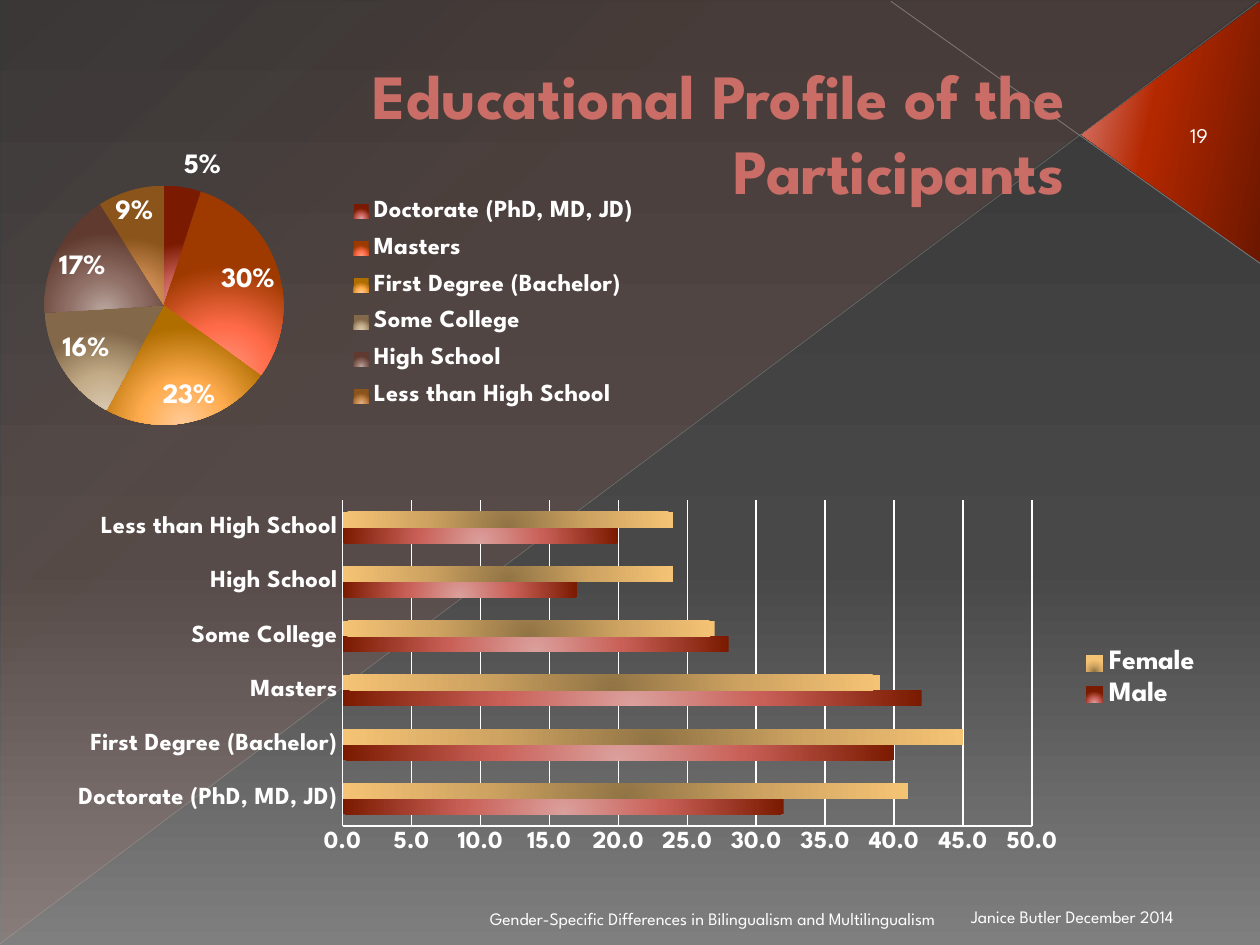
"""Build the slide on the educational profile of the participants."""
import pptx
import pptx.chart.data
import pptx.dml.color
import pptx.enum.chart
import pptx.enum.shapes
import pptx.enum.text
import pptx.oxml
import pptx.oxml.ns
import pptx.util
from pptx.util import Inches

THEME = {
    "font": "League Spartan",
    "white": "FFFFFF", "title": "C96D66", "title_outline": "72210A",
    "title_size": 36, "number_size": 12, "footer_size": 10,
    "label_size": 14, "value_size": 16,
    "background": [(0, "373737", 100), (60, "484848", 100), (100, "7F7F7F", 100)],
    "veil": [(0, "EE6D49", 10), (70, "EE6D49", 8), (100, "EE6D49", 1)],
    "arrow": [(0, "6B1700", 100), (60, "B42800", 100), (100, "DD8680", 100)],
    "female": [(0, "917445", 100), (50, "CFA462", 100), (100, "F5C374", 100)],
    "slices": [
        [(0, "DBA09C", 100), (45, "C96058", 100), (100, "7A1A00", 100)],
        [(0, "FF9A80", 100), (45, "FF6B49", 100), (100, "9E3A00", 100)],
        [(0, "FFCB98", 100), (45, "FFAC4F", 100), (100, "B06E00", 100)],
        [(0, "D8C8B0", 100), (45, "C3AB87", 100), (100, "83694A", 100)],
        [(0, "BBA8A0", 100), (45, "8F6F66", 100), (100, "603A2E", 100)],
        [(0, "E0B58A", 100), (45, "C98A50", 100), (100, "8A541B", 100)],
    ],
}
THEME["male"] = THEME["slices"][0]
RGB = pptx.dml.color.RGBColor.from_string
Pt = pptx.util.Pt
qn = pptx.oxml.ns.qn
DRAWING = pptx.oxml.ns.nsdecls("a")
ALIGN = pptx.enum.text.PP_ALIGN
ANCHOR = pptx.enum.text.MSO_ANCHOR


def paint(fill, stops, angle=None):
    """Give a fill a linear gradient, or a radial one from the bottom centre."""
    fill.solid()
    solid = fill._xPr.find(qn("a:solidFill"))
    marks = "".join(
        f'<a:gs pos="{position * 1000}"><a:srgbClr val="{color}">'
        f'<a:alpha val="{alpha * 1000}"/></a:srgbClr></a:gs>'
        for position, color, alpha in stops)
    direction = (
        '<a:path path="circle"><a:fillToRect l="50000" t="100000" r="50000"/></a:path>'
        if angle is None else f'<a:lin ang="{angle * 60000}" scaled="0"/>')
    gradient = pptx.oxml.parse_xml(
        f'<a:gradFill {DRAWING} rotWithShape="1"><a:gsLst>{marks}</a:gsLst>'
        f'{direction}</a:gradFill>')
    fill._xPr.replace(solid, gradient)


def place(element, index, x, y, w, h, inner=False):
    """Fix the position of a plot area or legend as fractions of its chart."""
    for layout in element.findall(qn("c:layout")):
        element.remove(layout)
    target = '<c:layoutTarget val="inner"/>' if inner else ""
    element.insert(index, pptx.oxml.parse_xml(
        f'<c:layout {pptx.oxml.ns.nsdecls("c")}><c:manualLayout>{target}'
        '<c:xMode val="edge"/><c:yMode val="edge"/>'
        f'<c:x val="{x}"/><c:y val="{y}"/><c:w val="{w}"/><c:h val="{h}"/>'
        '</c:manualLayout></c:layout>'))


deck = pptx.Presentation()
deck.slide_width, deck.slide_height = Inches(10), Inches(7.5)
slide = deck.slides.add_slide(deck.slide_layouts[6])
paint(slide.background.fill, THEME["background"], 90)

SHAPE = pptx.enum.shapes.MSO_SHAPE
veil = slide.shapes.add_shape(
    SHAPE.RIGHT_TRIANGLE, Inches(0.01), Inches(0.01), Inches(9.98), Inches(7.48))
arrow = slide.shapes.add_shape(
    SHAPE.ISOSCELES_TRIANGLE, Inches(8.26), Inches(0.34), Inches(2.07), Inches(1.42))
arrow.rotation = 90
arrow.adjustments[0] = 0.51
for triangle, stops, angle in [(veil, THEME["veil"], 133), (arrow, THEME["arrow"], 258)]:
    triangle.shadow.inherit = False
    triangle.line.fill.background()
    triangle._element.spPr.find(qn("a:xfrm")).set("flipV", "1")
    paint(triangle.fill, stops, angle)

for x1, y1, x2, y2, color, width, alpha in [
    (10, 2.09, 7.07, 0.01, "BEBEBE", 0.47, 45),
    (0, 7.49, 9.99, 0.01, "B5B5B5", 0.39, 35),
]:
    diagonal = slide.shapes.add_connector(
        pptx.enum.shapes.MSO_CONNECTOR.STRAIGHT,
        Inches(x1), Inches(y1), Inches(x2), Inches(y2))
    diagonal.line.color.rgb = RGB(color)
    diagonal.line.width = Pt(width)
    properties = diagonal._element.spPr
    properties.find(".//" + qn("a:srgbClr")).append(
        pptx.oxml.parse_xml(f'<a:alpha {DRAWING} val="{alpha * 1000}"/>'))
    properties.append(pptx.oxml.parse_xml(f"<a:effectLst {DRAWING}/>"))

for words, left, top, width, height, align, anchor, size, color in [
    ("Janice Butler December 2014", 7.61, 7.08, 2.33, 0.33,
     ALIGN.LEFT, ANCHOR.BOTTOM, "footer_size", "white"),
    ("Gender-Specific Differences in Bilingualism and Multilingualism",
     2.86, 7.09, 4.66, 0.33, ALIGN.RIGHT, ANCHOR.BOTTOM, "footer_size", "white"),
    ("19", 9.24, 0.89, 0.55, 0.33, ALIGN.CENTER, ANCHOR.BOTTOM, "number_size", "white"),
    ("Educational Profile of the Participants", 1.67, 0.3, 6.88, 1.49,
     ALIGN.RIGHT, ANCHOR.MIDDLE, "title_size", "title"),
]:
    frame = slide.shapes.add_textbox(
        Inches(left), Inches(top), Inches(width), Inches(height)).text_frame
    frame.word_wrap = True
    frame.vertical_anchor = anchor
    frame.text = words
    frame.paragraphs[0].alignment = align
    run = frame.paragraphs[0].runs[0]
    run.font.name = THEME["font"]
    run.font.size = Pt(THEME[size])
    run.font.color.rgb = RGB(THEME[color])
    if color == "title":
        run.font.bold = True
        run._r.get_or_add_rPr().insert(0, pptx.oxml.parse_xml(
            f'<a:ln {DRAWING} w="6350"><a:solidFill><a:srgbClr '
            f'val="{THEME["title_outline"]}"/></a:solidFill></a:ln>'))

CHART = pptx.enum.chart.XL_CHART_TYPE
education = pptx.chart.data.CategoryChartData()
education.categories = ["Doctorate (PhD, MD, JD)", "Masters", "First Degree (Bachelor)",
                        "Some College", "High School", "Less than High School"]
education.add_series("Series 1", [5, 30, 23, 16, 17, 9])
pie = slide.shapes.add_chart(
    CHART.PIE, Inches(-0.51), Inches(1.07), Inches(5.75), Inches(2.68), education).chart

genders = pptx.chart.data.CategoryChartData(number_format="0.0")
genders.categories = ["Doctorate (PhD, MD, JD)", "First Degree (Bachelor)", "Masters",
                      "Some College", "High School", "Less than High School"]
genders.add_series("Male", [32, 40, 42, 28, 17, 20])
genders.add_series("Female", [41, 45, 39, 27, 24, 24])
bars = slide.shapes.add_chart(
    CHART.BAR_CLUSTERED, Inches(0.12), Inches(3.83), Inches(9.45), Inches(3.15),
    genders).chart

for chart, legend_size, plot_box, legend_box in [
    (pie, "label_size", (0.15, 0.15, 0.33, 0.71), (0.56, 0.15, 0.42, 0.7)),
    (bars, "value_size", (0.275, 0.045, 0.579, 0.821), (0.89, 0.41, 0.11, 0.17)),
]:
    chart.has_title = False
    chart.font.name = THEME["font"]
    chart.font.color.rgb = RGB(THEME["white"])
    chart.has_legend = True
    chart.legend.position = pptx.enum.chart.XL_LEGEND_POSITION.RIGHT
    chart.legend.include_in_layout = False
    chart.legend.font.size = Pt(THEME[legend_size])
    chart.legend.font.bold = True
    chart.legend.font.name = THEME["font"]
    chart.legend.font.color.rgb = RGB(THEME["white"])
    place(chart._chartSpace.find(".//" + qn("c:plotArea")), 0, *plot_box, inner=True)
    place(chart.legend._element, 1, *legend_box)

for index, stops in enumerate(THEME["slices"]):
    paint(pie.plots[0].series[0].points[index].format.fill, stops)
pie.plots[0].has_data_labels = True
shares = pie.plots[0].data_labels
shares.show_percentage = True
shares.show_value = False
shares.number_format = "0%"
shares.number_format_is_linked = False
shares.position = pptx.enum.chart.XL_LABEL_POSITION.BEST_FIT
shares.font.size = Pt(THEME["value_size"])
shares.font.bold = True
shares.font.name = THEME["font"]
shares.font.color.rgb = RGB(THEME["white"])

bars.plots[0].gap_width = 150
bars.plots[0].vary_by_categories = False
for gender, key in zip(bars.plots[0].series, ["male", "female"]):
    paint(gender.format.fill, THEME[key])
levels, percent = bars.category_axis, bars.value_axis
percent.minimum_scale, percent.maximum_scale, percent.major_unit = 0, 50, 5
percent.has_major_gridlines = True
percent.major_gridlines.format.line.color.rgb = RGB(THEME["white"])
percent.major_gridlines.format.line.width = Pt(0.75)
percent.tick_labels.number_format = "0.0"
percent.tick_labels.number_format_is_linked = False
for axis in (levels, percent):
    axis.major_tick_mark = pptx.enum.chart.XL_TICK_MARK.NONE
    axis.format.line.color.rgb = RGB(THEME["white"])
    axis.format.line.width = Pt(0.75)
    axis.tick_labels.font.size = Pt(THEME["label_size"])
    axis.tick_labels.font.bold = True
    axis.tick_labels.font.name = THEME["font"]
    axis.tick_labels.font.color.rgb = RGB(THEME["white"])

deck.save("out.pptx")
